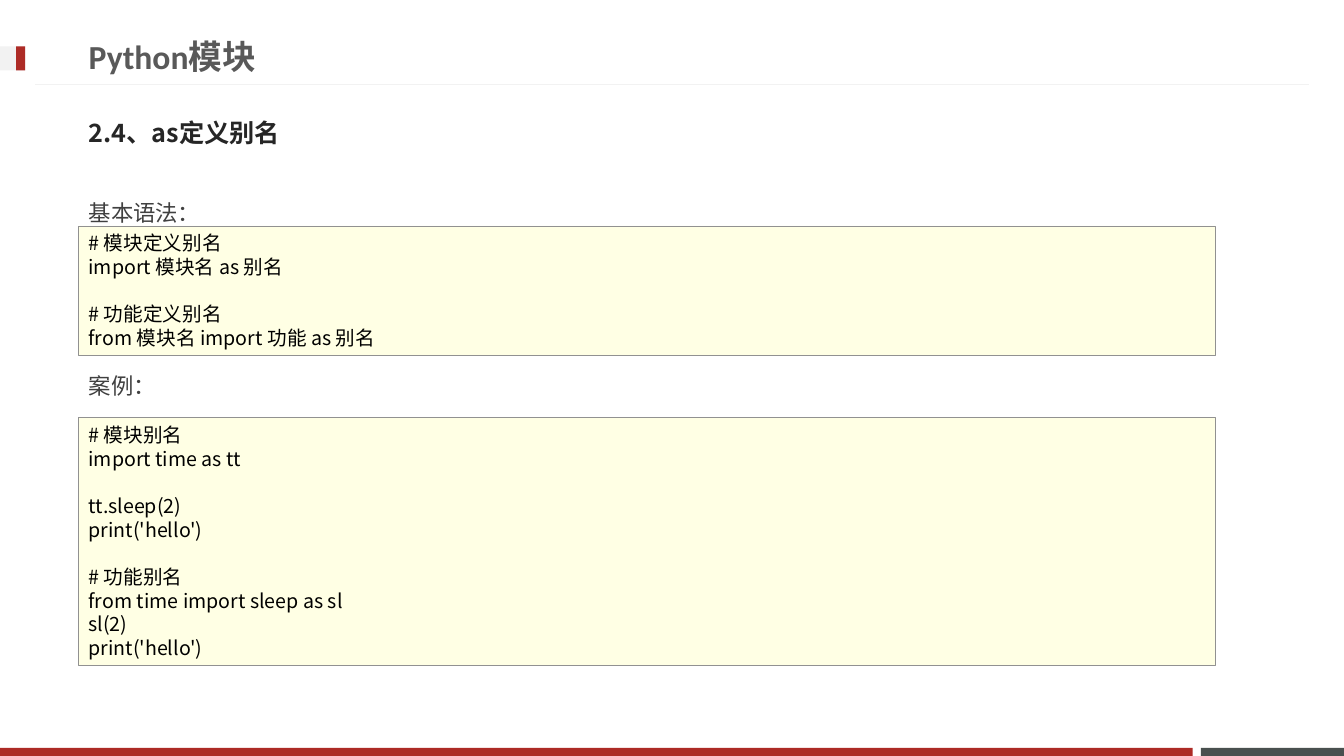
from lxml.etree import SubElement
from pptx import Presentation
from pptx.dml.color import RGBColor
from pptx.enum.shapes import MSO_CONNECTOR, MSO_SHAPE
from pptx.enum.text import MSO_ANCHOR, MSO_AUTO_SIZE, PP_ALIGN
from pptx.oxml.ns import qn
from pptx.util import Emu, Pt

PX = 9144  # 100 px to the inch
RED, GREY, PALE = "AD2B26", "49504F", "F2F2F2"
CODE_SIZE = 14
CODE_GAP = 17

SYNTAX = [
    ["# 模块定义别名", "import 模块名 as 别名"],
    ["# 功能定义别名", "from 模块名 import 功能 as 别名"],
]
EXAMPLE = [
    ["# 模块别名", "import time as tt"],
    ["tt.sleep(2)", "print('hello')"],
    ["# 功能别名", "from time import sleep as sl", "sl(2)", "print('hello')"],
]


def px(*lengths):
    return [Emu(length * PX) for length in lengths]


def color(value):
    return RGBColor.from_string(value)


def set_font(para, name, size, value, bold=False):
    para.font.name = name
    para.font.size = Pt(size)
    para.font.color.rgb = color(value)
    para.font.bold = bold


def add_bar(page, left, top, width, height, fill):
    bar = page.shapes.add_shape(MSO_SHAPE.RECTANGLE, *px(left, top, width, height))
    bar.shadow.inherit = False
    bar.fill.solid()
    bar.fill.fore_color.rgb = color(fill)
    bar.line.fill.background()
    return bar


def add_rule(page, x1, y1, x2, y2):
    rule = page.shapes.add_connector(MSO_CONNECTOR.STRAIGHT, *px(x1, y1, x2, y2))
    rule.line.color.rgb = color(PALE)
    rule.line.width = Pt(0.75)
    SubElement(rule._element.spPr, qn("a:effectLst"))


def fill_placeholder(holder, place, lines, anchor, *font):
    """Move the placeholder and write its lines without bullets."""
    holder.left, holder.top, holder.width, holder.height = px(*place)
    frame = holder.text_frame
    frame.text = "\n".join(lines)
    frame.word_wrap = True
    frame.auto_size = MSO_AUTO_SIZE.NONE
    frame.vertical_anchor = anchor
    for para in frame.paragraphs:
        para.alignment = PP_ALIGN.LEFT
        set_font(para, *font)
        properties = para._p.get_or_add_pPr()
        properties.set("marL", "0")
        properties.set("indent", "0")
        SubElement(properties, qn("a:buNone"))
        properties.insert(0, properties[-1])
        para.space_before = Pt(0)
    return frame.paragraphs


def add_code(page, top, height, blocks):
    """Draw a code panel with a gap between its blocks."""
    box = add_bar(page, 78, top, 1127, height, "FFFFE4")
    box.line.color.rgb = color("919191")
    box.line.width = Pt(0.25)
    frame = box.text_frame
    frame.word_wrap = True
    frame.vertical_anchor = MSO_ANCHOR.MIDDLE
    frame.text = "\n".join(line for block in blocks for line in block)
    paras = iter(frame.paragraphs)
    for number, block in enumerate(blocks):
        for row in range(len(block)):
            para = next(paras)
            para.alignment = PP_ALIGN.LEFT
            set_font(para, "Noto Sans CJK JP", CODE_SIZE, "000000")
            if number and row == 0:
                para.space_before = Pt(CODE_GAP)


def main():
    deck = Presentation()
    deck.slide_width, deck.slide_height = px(1333, 750)
    page = deck.slides.add_slide(deck.slide_layouts.get_by_name("Two Content"))
    title, heading, labels = page.placeholders

    add_bar(page, 1191, 742, 142, 8, GREY)
    add_bar(page, 0, 742, 1183, 8, RED)
    add_rule(page, 1298, 84, 35, 84)
    add_bar(page, 0, 46, 25, 24, PALE)
    add_bar(page, 16, 46, 9, 24, RED)

    fill_placeholder(title, (78, 27, 959, 57), ["Python模块"],
                     MSO_ANCHOR.MIDDLE, "Calibri", 24, "595959", True)
    fill_placeholder(heading, (78, 103, 1176, 57), ["2.4、as定义别名"],
                     MSO_ANCHOR.MIDDLE, "Noto Sans CJK JP", 18, "262626", True)
    paras = fill_placeholder(labels, (78, 179, 1235, 550), ["基本语法：", "案例："],
                             MSO_ANCHOR.TOP, "Calibri", 16, "404040")
    for para in paras:
        para.line_spacing = 1.5
    paras[1].space_before = Pt(95)

    add_code(page, 224, 128, SYNTAX)
    add_code(page, 414, 246, EXAMPLE)
    deck.save("out.pptx")


if __name__ == "__main__":
    main()
